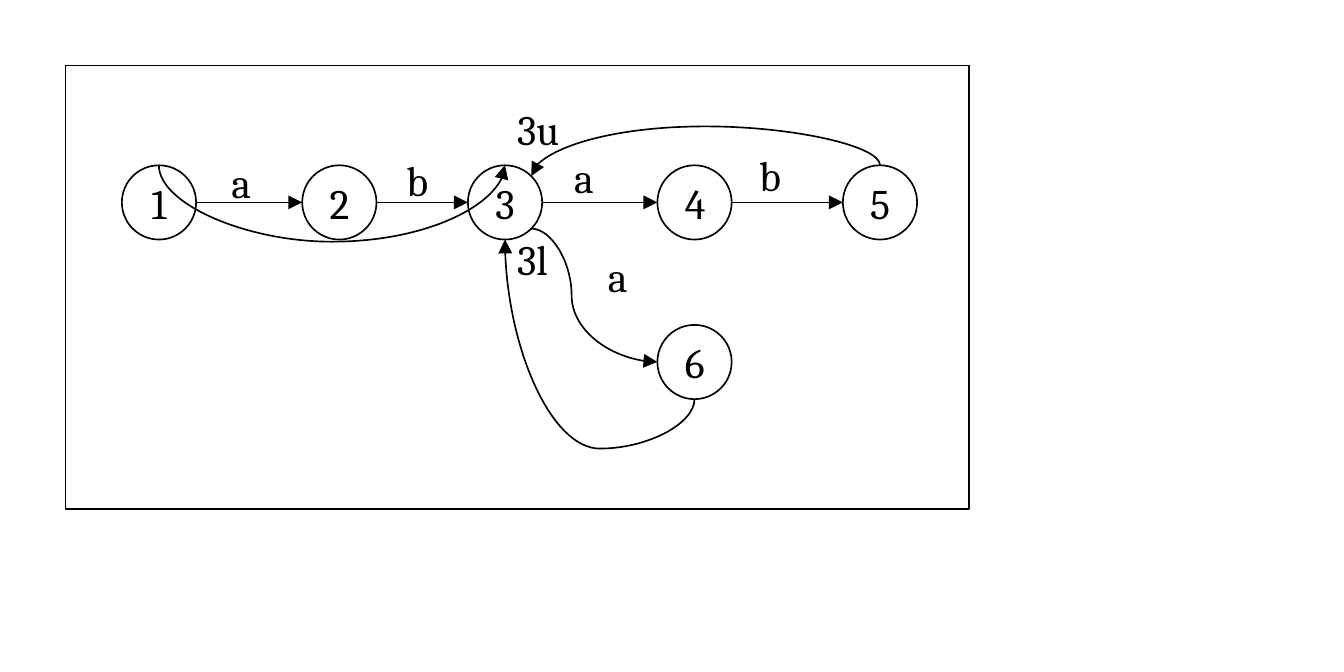
from dataclasses import dataclass
from math import cos, radians, sin

from lxml import etree
from pptx import Presentation
from pptx import util as u
from pptx.dml.color import RGBColor
from pptx.enum import shapes, text
from pptx.oxml import ns


@dataclass(frozen=True)
class Theme:
    """Colours, type and line sizes of the slide."""
    ink: RGBColor = RGBColor(0, 0, 0)
    paper: RGBColor = RGBColor(255, 255, 255)
    font: str = "Cambria"
    size: int = 18
    line: float = 0.71


THEME = Theme()
COLUMNS, ROWS = 80, 40
CELL = u.Inches(0.1)
RADIUS = 2.21
THINNEST = 360
TOP, LEFT, BOTTOM, LOWER_RIGHT, RIGHT, UPPER_RIGHT = 0, 2, 4, 5, 6, 7

STATES = {"1": (9.46, 12.05), "2": (20.2, 12.05), "3": (30.06, 12.05),
          "4": (41.34, 12.05), "5": (52.38, 12.05), "6": (41.34, 21.55)}
STEPS = ["12", "23", "34", "45"]
CURVES = [("5", TOP, "3", UPPER_RIGHT, 90, False, -3.58),
          ("3", LOWER_RIGHT, "6", LEFT, 0, False, 0.32),
          ("6", BOTTOM, "3", BOTTOM, 270, True, -0.31)]
SHORTCUT = ("1", TOP, "3", TOP, 270, False, -577)
LABELS = [("a", 12.8, 8.8, 3.4), ("b", 23.2, 8.7, 3.5), ("b", 44.2, 8.4, 3.5),
          ("a", 33.2, 8.5, 3.4), ("a", 35.2, 14.4, 3.4),
          ("3u", 29.8, 5.7, 5), ("3l", 29.8, 13.4, 4.1)]


def cells(*counts):
    """Turn counts of grid cells into lengths."""
    return [u.Emu(round(count * CELL)) for count in counts]


def write(shape, words, alignment):
    """Put one styled paragraph into a shape."""
    shape.text_frame.text = words
    paragraph = shape.text_frame.paragraphs[0]
    paragraph.alignment = alignment
    font = paragraph.runs[0].font
    font.name, font.size = THEME.font, u.Pt(THEME.size)
    font.color.rgb = THEME.ink


def draw_line(line):
    """Give an outline the common colour and width."""
    line.color.rgb = THEME.ink
    line.width = u.Pt(THEME.line)


def add_outlined(slide, kind, *box):
    """Add a paper-filled shape with a thin outline."""
    shape = slide.shapes.add_shape(kind, *cells(*box))
    shape.shadow.inherit = False
    shape.fill.solid()
    shape.fill.fore_color.rgb = THEME.paper
    draw_line(shape.line)
    return shape


def add_state(slide, name):
    """Add a numbered circle around its centre."""
    x, y = STATES[name]
    shape = add_outlined(slide, shapes.MSO_SHAPE.OVAL, x - RADIUS, y - RADIUS,
                         2 * RADIUS, 2 * RADIUS)
    shape.text_frame.vertical_anchor = text.MSO_ANCHOR.MIDDLE
    write(shape, name, text.PP_ALIGN.CENTER)
    return shape


def add_label(slide, words, left, top, width):
    """Add the symbol beside a transition."""
    box = slide.shapes.add_textbox(*cells(left, top, width, 4.4))
    box.text_frame.word_wrap = False
    box.text_frame.auto_size = text.MSO_AUTO_SIZE.SHAPE_TO_FIT_TEXT
    write(box, words, text.PP_ALIGN.LEFT)


def site_point(name, site):
    """Find a connection site on the rim of a state."""
    x, y = STATES[name]
    angle = radians(90 + 45 * site)
    return cells(x + RADIUS * cos(angle), y - RADIUS * sin(angle))


def add_arrow(slide, circles, start, start_site, end, end_site):
    """Connect two states with an arrow glued to their sites."""
    connector = slide.shapes.add_connector(
        shapes.MSO_CONNECTOR.STRAIGHT,
        *site_point(start, start_site), *site_point(end, end_site))
    draw_line(connector.line)
    outline = connector.line._get_or_add_ln()
    etree.SubElement(outline, ns.qn("a:tailEnd"), type="triangle")
    etree.SubElement(connector._element.spPr, ns.qn("a:effectLst"))
    links = connector._element.nvCxnSpPr.cNvCxnSpPr
    for link, name, site in ((links.get_or_add_stCxn(), start, start_site),
                             (links.get_or_add_endCxn(), end, end_site)):
        link.id, link.idx = circles[name].shape_id, site
    return connector


def add_curve(slide, circles, start, start_site, end, end_site, turn, flip, bend):
    """Connect two states with a turned, bent arrow."""
    connector = add_arrow(slide, circles, start, start_site, end, end_site)
    x1, y1 = site_point(start, start_site)
    x2, y2 = site_point(end, end_site)
    width, height = abs(x2 - x1), abs(y2 - y1)
    if turn:
        width, height = max(height, THINNEST), width
    connector.left = u.Emu((x1 + x2 - width) // 2)
    connector.top = u.Emu((y1 + y2 - height) // 2)
    connector.width, connector.height = u.Emu(width), u.Emu(height)
    properties = connector._element.spPr
    frame = properties.find(ns.qn("a:xfrm"))
    for flag in ("flipH", "flipV"):
        frame.attrib.pop(flag, None)
    frame.set("rot", str(turn * 60000))
    if flip:
        frame.set("flipV", "1")
    geometry = properties.find(ns.qn("a:prstGeom"))
    geometry.set("prst", "curvedConnector3")
    guides = geometry.find(ns.qn("a:avLst"))
    if guides is None:
        guides = etree.SubElement(geometry, ns.qn("a:avLst"))
    etree.SubElement(guides, ns.qn("a:gd"), name="adj1",
                     fmla=f"val {round(bend * 100000)}")


def main():
    """Build the state diagram and save it."""
    presentation = Presentation()
    presentation.slide_width, presentation.slide_height = cells(COLUMNS, ROWS)
    slide = presentation.slides.add_slide(presentation.slide_layouts[6])
    add_outlined(slide, shapes.MSO_SHAPE.RECTANGLE, 3.9, 3.9, 53.8, 26.4)
    circles = {name: add_state(slide, name) for name in STATES}
    for start, end in STEPS:
        add_arrow(slide, circles, start, RIGHT, end, LEFT)
    for curve in CURVES:
        add_curve(slide, circles, *curve)
    for label in LABELS:
        add_label(slide, *label)
    add_curve(slide, circles, *SHORTCUT)
    presentation.save("out.pptx")


if __name__ == "__main__":
    main()
